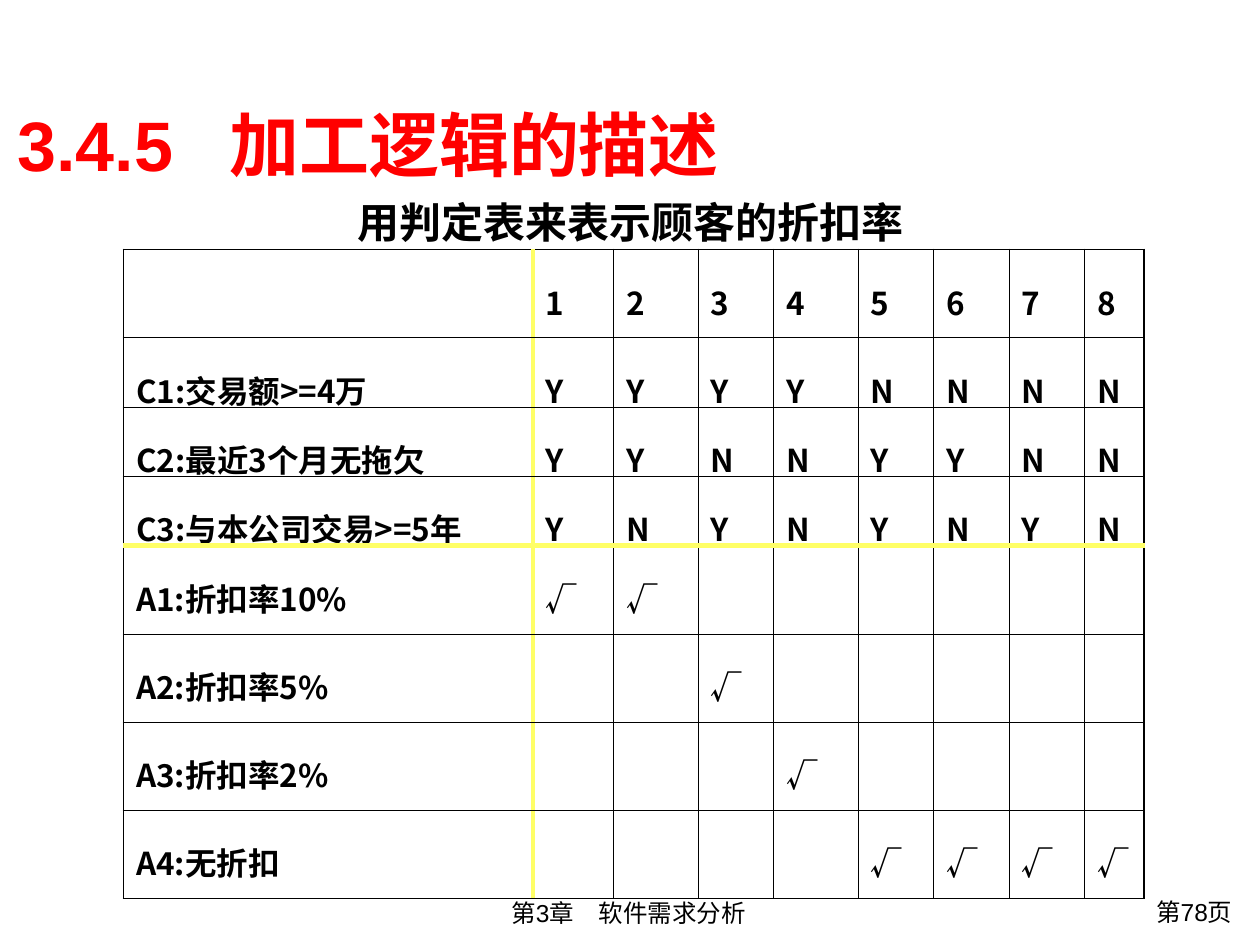
from lxml import etree
from pptx import Presentation
from pptx import util as u
from pptx.dml.color import RGBColor
from pptx.enum import text
from pptx.oxml.ns import qn

BLACK = RGBColor(0x00, 0x00, 0x00)
RED = RGBColor(0xFF, 0x00, 0x00)
YELLOW = RGBColor(0xFF, 0xFF, 0x66)
LATIN, CJK = "Arial", "Noto Sans CJK SC"
TITLE_ONLY = 5

COL_WIDTHS = [3.25, 0.64, 0.67, 0.6, 0.67, 0.6, 0.6, 0.6, 0.47]
ROW_HEIGHTS = [0.7] + [0.55] * 3 + [0.7] * 4
DECISIONS = [
    ("", "12345678"),
    ("C1:交易额>=4万", "YYYYNNNN"),
    ("C2:最近3个月无拖欠", "YYNNYYNN"),
    ("C3:与本公司交易>=5年", "YNYNYNYN"),
    ("A1:折扣率10%", "√√      "),
    ("A2:折扣率5%", "  √     "),
    ("A3:折扣率2%", "   √    "),
    ("A4:无折扣", "    √√√√"),
]


def write(tf, words, size=14, font=LATIN, color=BLACK, bold=False,
          align=text.PP_ALIGN.LEFT, spacing=None, after=None, tab=None):
    p = tf.paragraphs[0]
    p.alignment = align
    p.line_spacing = spacing
    p.space_before = u.Pt(0)
    if after:
        p.space_after = u.Pt(after)
    if tab:
        tabs = etree.SubElement(p._p.get_or_add_pPr(), qn("a:tabLst"))
        etree.SubElement(tabs, qn("a:tab"), pos=str(u.Inches(tab)), algn="l")
    p.font.size = u.Pt(size)
    if not words:
        return
    r = p.add_run()
    r.text = words
    r.font.name, r.font.size, r.font.bold = font, u.Pt(size), bold
    r.font.color.rgb = color
    etree.SubElement(r._r.get_or_add_rPr(), qn("a:ea"), typeface=CJK)


def edge(index, last, divider):
    if index == divider:
        return YELLOW, 3
    return BLACK, 1.08 if index in (0, last) else 0.45


class Deck:
    def __init__(self, width, height):
        self.prs = Presentation()
        self.prs.slide_width, self.prs.slide_height = u.Inches(width), u.Inches(height)
        self.s = self.prs.slides.add_slide(self.prs.slide_layouts[TITLE_ONLY])

    def share(self, x, y, w, h):
        sw, sh = self.prs.slide_width, self.prs.slide_height
        return [int(v * full / 100) for v, full in ((x, sw), (y, sh), (w, sw), (h, sh))]

    def title(self, words, area, **style):
        sp = self.s.shapes.title
        sp.left, sp.top, sp.width, sp.height = self.share(*area)
        tf = sp.text_frame
        tf.auto_size = text.MSO_AUTO_SIZE.NONE
        tf.vertical_anchor = text.MSO_ANCHOR.MIDDLE
        write(tf, words, **style)

    def label(self, words, area, **style):
        tf = self.s.shapes.add_textbox(*self.share(*area)).text_frame
        tf.word_wrap = True
        write(tf, words, **style)

    def border(self, cell, side, color, width):
        ln = etree.SubElement(cell._tc.get_or_add_tcPr(), qn("a:ln" + side),
                              w=str(u.Pt(width)))
        fill = etree.SubElement(ln, qn("a:solidFill"))
        etree.SubElement(fill, qn("a:srgbClr"), val=str(color))

    def table(self, rows, area, widths, heights, divider_col, divider_row, **style):
        nr, nc = len(heights), len(widths)
        tbl = self.s.shapes.add_table(nr, nc, *self.share(*area)).table
        tbl.first_row = tbl.horz_banding = False
        for col, width in zip(tbl.columns, widths):
            col.width = u.Inches(width)
        for row, height in zip(tbl.rows, heights):
            row.height = u.Inches(height)
        for i, (head, marks) in enumerate(rows):
            for j, words in enumerate([head, *marks]):
                cell = tbl.cell(i, j)
                write(cell.text_frame, words.strip(), **style)
                self.border(cell, "L", *edge(j, nc, divider_col))
                self.border(cell, "R", *edge(j + 1, nc, divider_col))
                self.border(cell, "T", *edge(i, nr, divider_row))
                self.border(cell, "B", *edge(i + 1, nr, divider_row))
                cell.fill.background()


def main():
    d = Deck(10, 7.5)
    center, right = text.PP_ALIGN.CENTER, text.PP_ALIGN.RIGHT
    d.label("第3章　软件需求分析", (23.5, 94.4, 52.8, 4.53), align=center)
    d.table(DECISIONS, (9.8, 26.4, 81.1, 68.67), COL_WIDTHS, ROW_HEIGHTS,
            divider_col=1, divider_row=4,
            size=18, font=CJK, bold=True, spacing=1.5, after=4)
    d.label("用判定表来表示顾客的折扣率", (26, 20.13, 48.1, 6.67),
            size=24, bold=True, align=center)
    d.title("3.4.5\t加工逻辑的描述", (0.4, 10.4, 84.3, 9.6),
            size=40, color=RED, bold=True, tab=1.68)
    d.label("第78页", (85.4, 94.27, 13.4, 4.93), align=right)
    d.prs.save("out.pptx")


if __name__ == "__main__":
    main()
